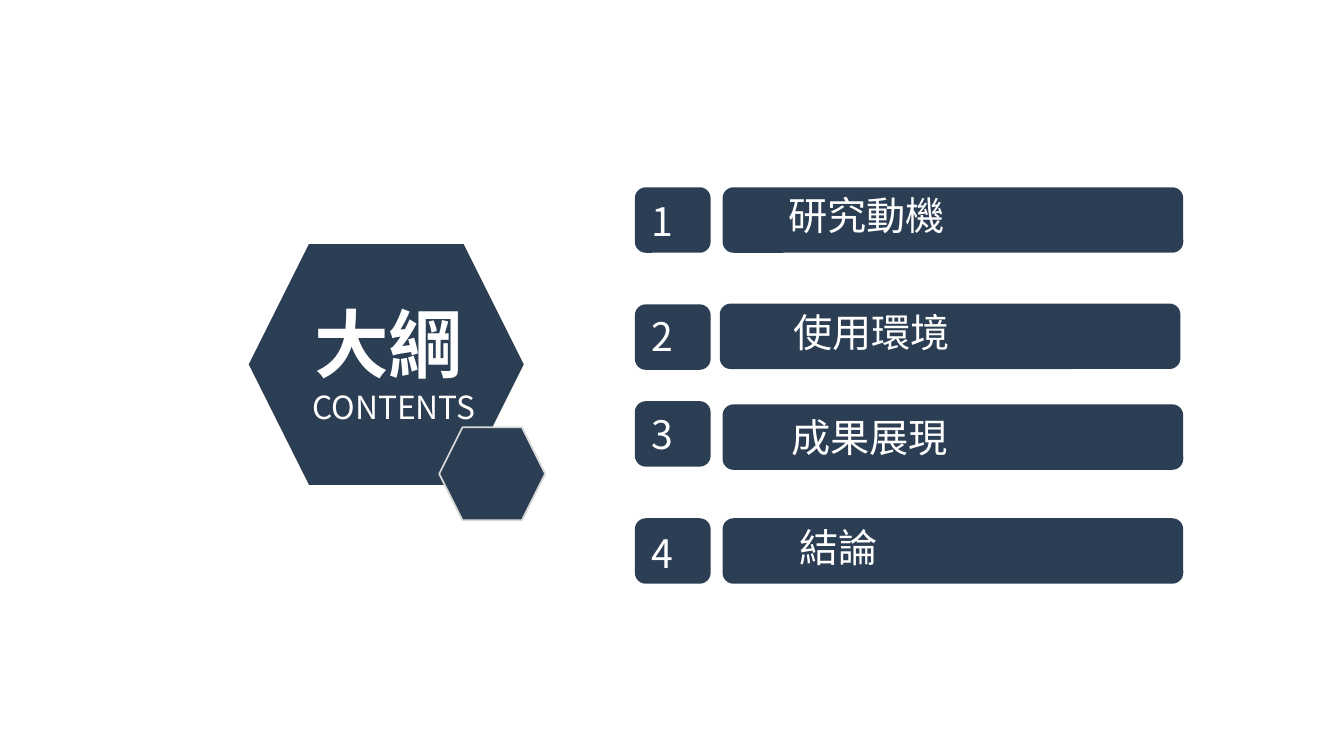
from dataclasses import dataclass

from lxml.etree import SubElement
from pptx import Presentation
from pptx.dml.color import RGBColor
from pptx.enum.shapes import MSO_SHAPE
from pptx.enum.text import MSO_ANCHOR, PP_ALIGN
from pptx.oxml.ns import qn
from pptx.util import Cm, Pt

# Content: lengths in centimetres, boxes as left, top, width, height
TITLE = ("大綱", (7.06, 7.37, 5.49, 2.54))
SUBTITLE = ("CONTENTS", (7.21, 9.65, 5.44, 1.22))
LARGE_HEXAGON = (6.27, 6.15, 6.93, 6.07)
SMALL_HEXAGON = (11.07, 10.77, 2.67, 2.34)

# Label, tile top, number top, bar left and top, label box (None: inside the bar)
CHAPTERS = [
    ("研究動機", 4.72, 4.83, (18.21, 4.72), (19.41, 4.6, 8.23, 3.3)),
    ("使用環境", 7.67, 7.75, (18.14, 7.65), (19.53, 7.54, 8.23, 3.3)),
    ("成果展現", 10.11, 10.21, (18.21, 10.19), None),
    ("結論", 13.06, 13.21, (18.21, 13.06), (19.69, 12.95, 10.06, 1.96)),
]
TILE_LEFT, NUMBER_LEFT = 16.0, 16.18
TILE_SIZE, NUMBER_SIZE, BAR_SIZE = (1.91, 1.65), (1.96, 1.45), (11.61, 1.65)

# Text insets: left, top, right, bottom
TITLE_INSETS = (0, 0.13, 0, 0.13)
SMALL_INSETS = (0.25, 0.13, 0.25, 0.13)
LABEL_INSETS = (0.46, 0.23, 0.46, 0.23)
BAR_INSETS = (1.65, 0.23, 0.46, 0.23)


@dataclass(frozen=True)
class Theme:
    font: str = "Noto Sans CJK SC"
    navy: RGBColor = RGBColor(0x2B, 0x3E, 0x54)
    outline: RGBColor = RGBColor(0xD8, 0xD8, 0xD8)
    white: RGBColor = RGBColor(0xFF, 0xFF, 0xFF)
    title: float = 53.3
    subtitle: float = 22.7
    chapter: float = 28


THEME = Theme()


def add_block(slide, kind, box, outline=None):
    shape = slide.shapes.add_shape(kind, *map(Cm, box))
    shape.shadow.inherit = False
    shape.fill.solid()
    shape.fill.fore_color.rgb = THEME.navy
    if outline is None:
        shape.line.fill.background()
    else:
        shape.line.color.rgb = outline
        shape.line.width = Pt(1.25)
    return shape


def write(shape, text, size=THEME.chapter, bold=False, align=PP_ALIGN.LEFT,
          anchor=MSO_ANCHOR.TOP, insets=SMALL_INSETS):
    frame = shape.text_frame
    frame.word_wrap = True
    frame.vertical_anchor = anchor
    (frame.margin_left, frame.margin_top,
     frame.margin_right, frame.margin_bottom) = map(Cm, insets)
    paragraph = frame.paragraphs[0]
    paragraph.alignment = align
    run = paragraph.add_run()
    run.text = text
    run.font.size = Pt(size)
    run.font.bold = bold
    run.font.color.rgb = THEME.white
    run.font.name = THEME.font
    east_asian = SubElement(run.font._element, qn("a:ea"))
    east_asian.set("typeface", THEME.font)


def add_text(slide, text, box, **text_format):
    write(slide.shapes.add_textbox(*map(Cm, box)), text, **text_format)


def add_chapter(slide, number, label, tile_top, number_top, bar_corner, label_box):
    # Bar with its label
    bar = add_block(slide, MSO_SHAPE.ROUNDED_RECTANGLE, bar_corner + BAR_SIZE)
    if label_box is None:
        write(bar, label, anchor=MSO_ANCHOR.MIDDLE, insets=BAR_INSETS)
    else:
        add_text(slide, label, label_box, insets=LABEL_INSETS)

    # Tile with its number
    add_block(slide, MSO_SHAPE.ROUNDED_RECTANGLE, (TILE_LEFT, tile_top) + TILE_SIZE)
    add_text(slide, str(number), (NUMBER_LEFT, number_top) + NUMBER_SIZE)


def main():
    presentation = Presentation()
    presentation.slide_width, presentation.slide_height = Cm(33.87), Cm(19.05)
    slide = presentation.slides.add_slide(presentation.slide_layouts[6])

    # Heading on hexagons
    add_block(slide, MSO_SHAPE.HEXAGON, LARGE_HEXAGON)
    add_block(slide, MSO_SHAPE.HEXAGON, SMALL_HEXAGON, outline=THEME.outline)
    add_text(slide, *TITLE, size=THEME.title, bold=True,
             align=PP_ALIGN.CENTER, insets=TITLE_INSETS)
    add_text(slide, *SUBTITLE, size=THEME.subtitle, align=PP_ALIGN.CENTER)

    # Chapter list
    for number, chapter in enumerate(CHAPTERS, start=1):
        add_chapter(slide, number, *chapter)

    presentation.save("out.pptx")


if __name__ == "__main__":
    main()
